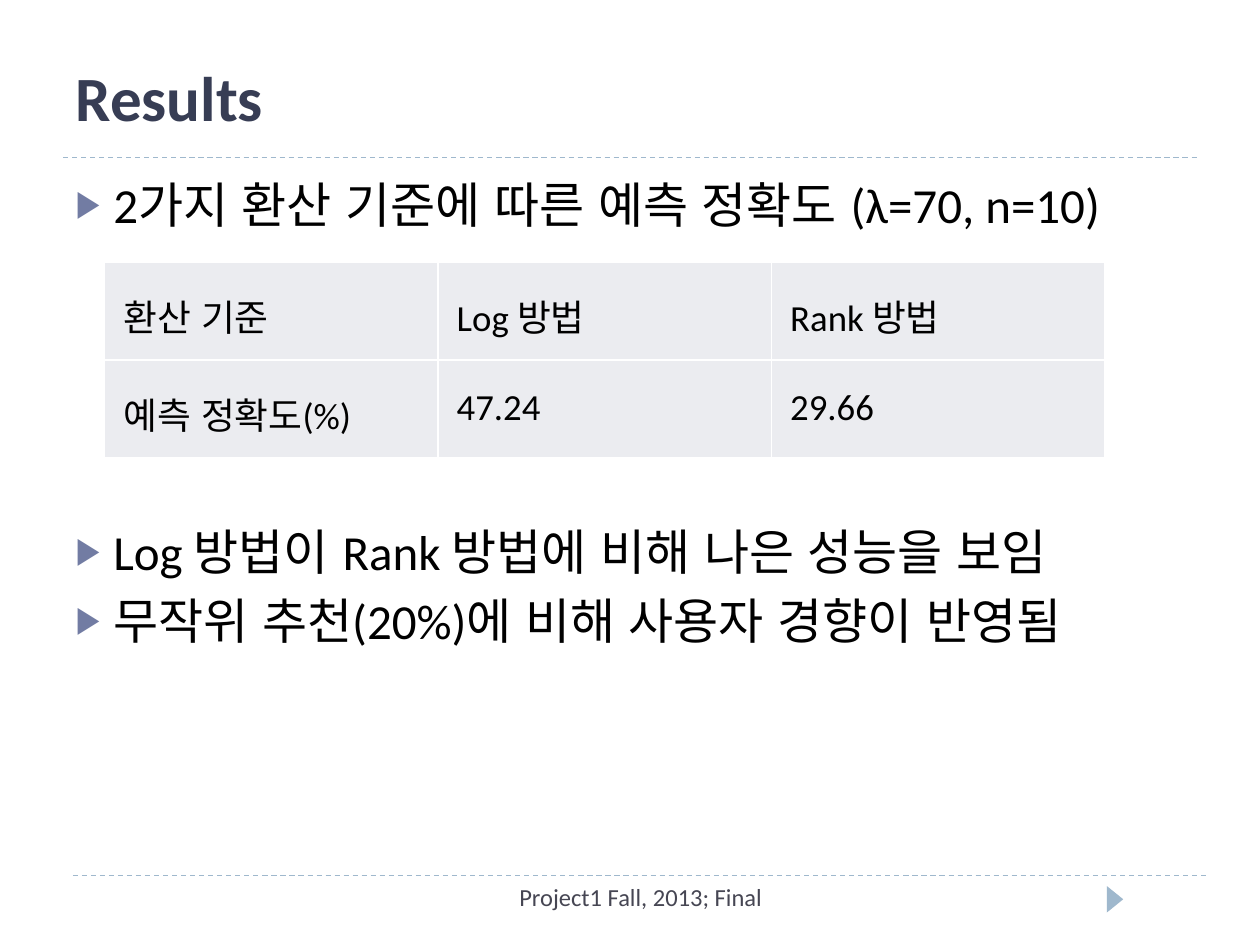
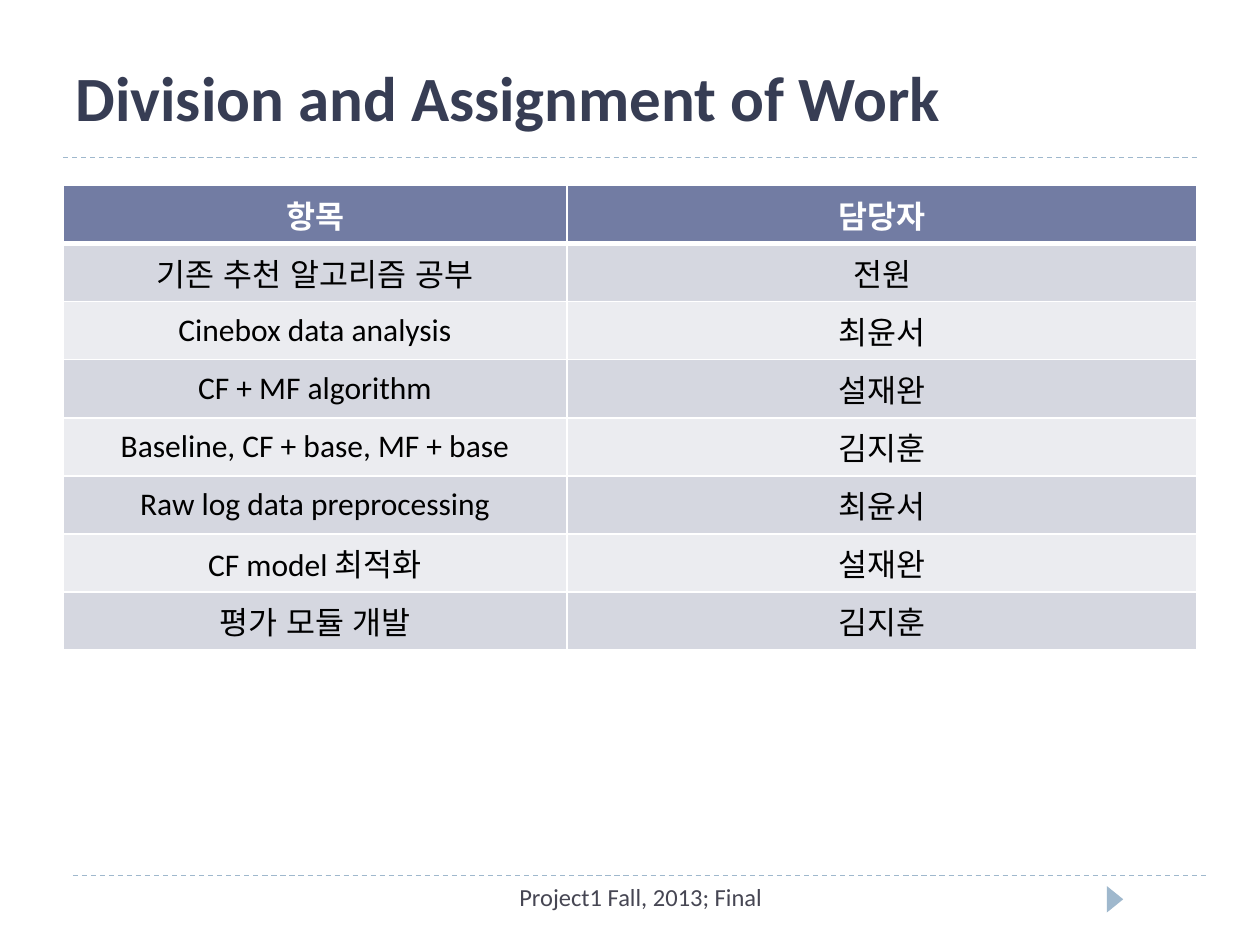
"""Builds the results slide and the work assignment slide of a project report."""
from dataclasses import dataclass

from lxml import etree
from pptx import Presentation
from pptx.dml.color import RGBColor
from pptx.enum.dml import MSO_LINE
from pptx.enum.lang import MSO_LANGUAGE_ID
from pptx.enum.shapes import MSO_CONNECTOR, MSO_SHAPE
from pptx.enum.text import MSO_ANCHOR, MSO_AUTO_SIZE, PP_ALIGN
from pptx.oxml.ns import qn
from pptx.presentation import Presentation as Deck
from pptx.slide import Slide
from pptx.table import _Cell
from pptx.text.text import _Paragraph
from pptx.util import Pt

DASH = MSO_LINE.DASH
KOREAN = MSO_LANGUAGE_ID.KOREAN
STRAIGHT = MSO_CONNECTOR.STRAIGHT
TRIANGLE = MSO_SHAPE.ISOSCELES_TRIANGLE
TOP, MIDDLE, BOTTOM = MSO_ANCHOR.TOP, MSO_ANCHOR.MIDDLE, MSO_ANCHOR.BOTTOM
LEFT, CENTER = PP_ALIGN.LEFT, PP_ALIGN.CENTER
NO_AUTOFIT = MSO_AUTO_SIZE.NONE
TITLE_AND_BODY, TITLE_ONLY = 1, 5


@dataclass(frozen=True)
class Theme:
    """Colours, font and type sizes of the deck."""
    font: str = "Calibri"
    title: str = "373D54"
    text: str = "000000"
    footer: str = "464653"
    rule: str = "9FB8CD"
    accent: str = "727CA3"
    band: str = "D5D7E0"
    pale: str = "EBECF0"
    white: str = "FFFFFF"
    title_size: float = 36
    body_size: float = 28
    result_size: float = 21
    work_size: float = 18
    footer_size: float = 14


@dataclass(frozen=True)
class Rule:
    """A dashed horizontal line."""
    left: float
    top: float
    width: float = 648


@dataclass(frozen=True)
class Bullet:
    """A list item and the space above it."""
    text: str
    space_before: float = 6


@dataclass(frozen=True)
class Grid:
    """A table with its place and cell formatting."""
    rows: list[tuple[str, ...]]
    left: float
    top: float
    column_widths: tuple[float, ...]
    row_height: float
    size: float
    fills: tuple[str, ...]
    has_header: bool = False
    align: PP_ALIGN = LEFT
    anchor: MSO_ANCHOR = TOP
    line_spacing: float = 1.0
    margins: tuple[float, float] = (7.2, 3.6)


THEME = Theme()
RULES = (Rule(41.6, 500.4), Rule(36, 90))
FOOTER = "Project1 Fall, 2013; Final"
FINDINGS = (
    Bullet("2가지 환산 기준에 따른 예측 정확도 (λ=70, n=10)"),
    Bullet("Log 방법이 Rank 방법에 비해 나은 성능을 보임", 164.5),
    Bullet("무작위 추천(20%)에 비해 사용자 경향이 반영됨"),
)
ACCURACY = Grid(
    rows=[("환산 기준", "Log 방법", "Rank 방법"),
          ("예측 정확도(%)", "47.24", "29.66")],
    left=59.6, top=149.6, column_widths=(190.6,) * 3, row_height=56,
    size=THEME.result_size, fills=(THEME.pale,),
    line_spacing=1.15, margins=(10.8, 10.8),
)
ASSIGNMENTS = Grid(
    rows=[("항목", "담당자"),
          ("기존 추천 알고리즘 공부", "전원"),
          ("Cinebox data analysis", "최윤서"),
          ("CF + MF algorithm", "설재완"),
          ("Baseline, CF + base, MF + base", "김지훈"),
          ("Raw log data preprocessing", "최윤서"),
          ("CF model 최적화", "설재완"),
          ("평가 모듈 개발", "김지훈")],
    left=36, top=106, column_widths=(288, 360), row_height=33.2,
    size=THEME.work_size, fills=(THEME.pale, THEME.band),
    has_header=True, align=CENTER, anchor=MIDDLE,
)


def rgb(value: str) -> RGBColor:
    """Turn a hex string into a colour."""
    return RGBColor.from_string(value)


def add_run(paragraph: _Paragraph, text: str, size: float, color: str,
            bold: bool = False) -> None:
    """Append one formatted run."""
    run = paragraph.add_run()
    run.text = text
    run.font.name = THEME.font
    run.font.language_id = KOREAN
    run.font.size = Pt(size)
    run.font.bold = bold
    run.font.color.rgb = rgb(color)


def add_rule(slide: Slide, rule: Rule) -> None:
    """Draw a dashed rule across the slide."""
    top = Pt(rule.top)
    connector = slide.shapes.add_connector(
        STRAIGHT, Pt(rule.left), top, Pt(rule.left + rule.width), top)
    connector.line.color.rgb = rgb(THEME.rule)
    connector.line.width = Pt(0.75)
    connector.line.dash_style = DASH
    etree.SubElement(connector._element.spPr, qn("a:effectLst"))


def add_footer(slide: Slide) -> None:
    """Add the footer text and its arrow mark."""
    marker = slide.shapes.add_shape(TRIANGLE, Pt(629.6), Pt(509.2), Pt(15.12), Pt(9.36))
    marker.rotation = 90
    marker.shadow.inherit = False
    marker.fill.solid()
    marker.fill.fore_color.rgb = rgb(THEME.rule)
    marker.line.fill.background()
    frame = slide.shapes.add_textbox(Pt(228.2), Pt(500.4), Pt(276), Pt(28.8)).text_frame
    frame.word_wrap = True
    paragraph = frame.paragraphs[0]
    paragraph.alignment = CENTER
    add_run(paragraph, FOOTER, THEME.footer_size, THEME.footer)


def add_slide(deck: Deck, layout: int, heading: str) -> Slide:
    """Add a slide with the shared rules, footer and title."""
    slide = deck.slides.add_slide(deck.slide_layouts[layout])
    for rule in RULES:
        add_rule(slide, rule)
    add_footer(slide)
    title = slide.shapes.title
    title.left, title.top, title.width, title.height = Pt(36), Pt(29), Pt(648), Pt(51.4)
    frame = title.text_frame
    frame.auto_size = NO_AUTOFIT
    frame.vertical_anchor = BOTTOM
    paragraph = frame.paragraphs[0]
    paragraph.alignment = LEFT
    add_run(paragraph, heading, THEME.title_size, THEME.title, bold=True)
    return slide


def set_bullet(paragraph: _Paragraph) -> None:
    """Give a paragraph a hanging triangle bullet."""
    properties = paragraph._p.get_or_add_pPr()
    properties.set("marL", str(Pt(21.6)))
    properties.set("indent", str(-Pt(21.6)))
    color = etree.SubElement(properties, qn("a:buClr"))
    etree.SubElement(color, qn("a:srgbClr"), val=THEME.accent)
    etree.SubElement(properties, qn("a:buSzPct"), val="76000")
    etree.SubElement(properties, qn("a:buChar"), char="▶")


def fill_body(slide: Slide, bullets: tuple[Bullet, ...]) -> None:
    """Write the bullet list into the body placeholder."""
    body = slide.placeholders[1]
    body.left, body.top, body.width, body.height = Pt(36), Pt(96), Pt(648), Pt(401)
    frame = body.text_frame
    frame.auto_size = NO_AUTOFIT
    for index, bullet in enumerate(bullets):
        paragraph = frame.add_paragraph() if index else frame.paragraphs[0]
        paragraph.space_before = Pt(bullet.space_before)
        set_bullet(paragraph)
        add_run(paragraph, bullet.text, THEME.body_size, THEME.text)


def set_borders(cell: _Cell, top: float, bottom: float) -> None:
    """Draw white borders around a cell."""
    properties = cell._tc.get_or_add_tcPr()
    for side, width in (("L", 1), ("R", 1), ("T", top), ("B", bottom)):
        line = etree.SubElement(properties, qn(f"a:ln{side}"), w=str(Pt(width)))
        fill = etree.SubElement(line, qn("a:solidFill"))
        etree.SubElement(fill, qn("a:srgbClr"), val=THEME.white)


def fill_cell(cell: _Cell, text: str, row: int, grid: Grid) -> None:
    """Format one table cell and write its text."""
    is_header = grid.has_header and row == 0
    below_header = grid.has_header and row == 1
    set_borders(cell, 3 if below_header else 1, 3 if is_header else 1)
    cell.fill.solid()
    cell.fill.fore_color.rgb = rgb(
        THEME.accent if is_header else grid.fills[row % len(grid.fills)])
    cell.vertical_anchor = grid.anchor
    side, edge = grid.margins
    cell.margin_left = cell.margin_right = Pt(side)
    cell.margin_top = cell.margin_bottom = Pt(edge)
    paragraph = cell.text_frame.paragraphs[0]
    paragraph.alignment = grid.align
    paragraph.line_spacing = grid.line_spacing
    add_run(paragraph, text, grid.size,
            THEME.white if is_header else THEME.text, bold=is_header)


def add_grid(slide: Slide, grid: Grid) -> None:
    """Add a table."""
    table = slide.shapes.add_table(
        len(grid.rows), len(grid.column_widths), Pt(grid.left), Pt(grid.top),
        Pt(sum(grid.column_widths)), Pt(grid.row_height * len(grid.rows))).table
    table.first_row = grid.has_header
    table.horz_banding = False
    for column, width in zip(table.columns, grid.column_widths):
        column.width = Pt(width)
    for row, texts in enumerate(grid.rows):
        table.rows[row].height = Pt(grid.row_height)
        for column, text in enumerate(texts):
            fill_cell(table.cell(row, column), text, row, grid)


def main() -> None:
    """Build and save the deck."""
    deck = Presentation()
    deck.slide_width, deck.slide_height = Pt(720), Pt(540)
    results = add_slide(deck, TITLE_AND_BODY, "Results")
    fill_body(results, FINDINGS)
    add_grid(results, ACCURACY)
    work = add_slide(deck, TITLE_ONLY, "Division and Assignment of Work")
    add_grid(work, ASSIGNMENTS)
    deck.save("out.pptx")


main()
